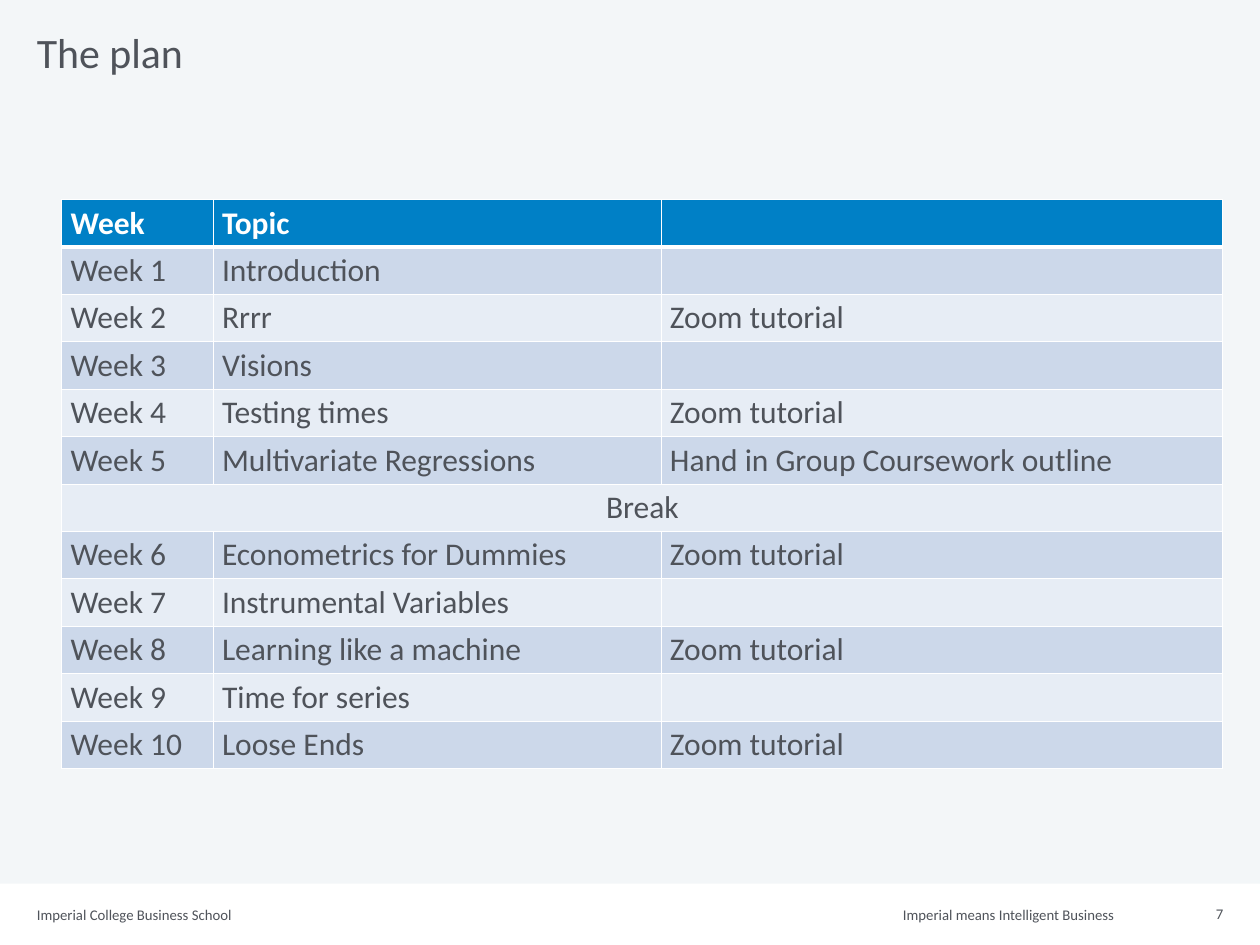
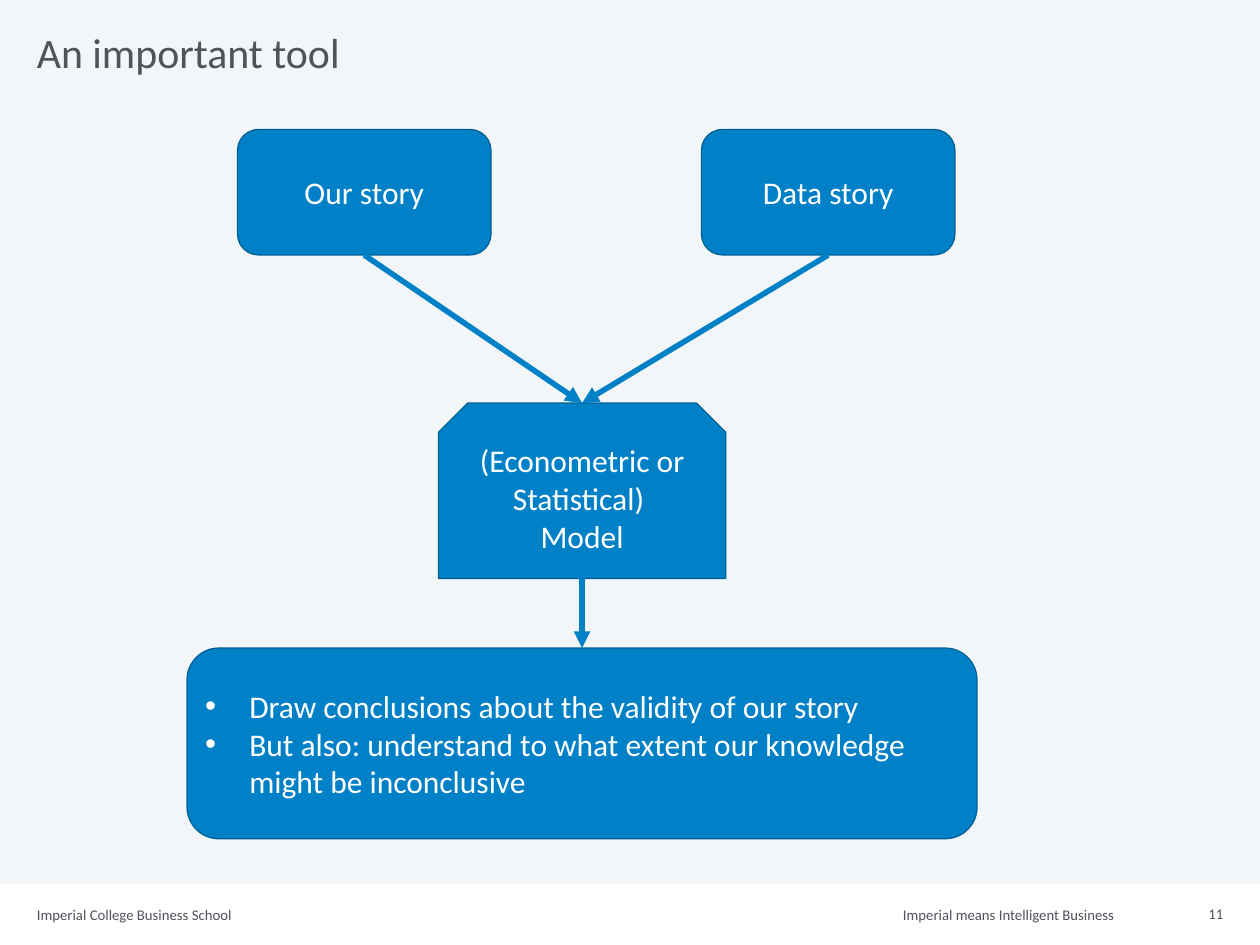
import lxml.etree
import pptx
import pptx.dml.color
import pptx.enum.shapes
import pptx.enum.text
import pptx.oxml.ns
import pptx.util

Pt = pptx.util.Pt
RGB = pptx.dml.color.RGBColor
ALIGN = pptx.enum.text.PP_ALIGN
MIDDLE = pptx.enum.text.MSO_ANCHOR.MIDDLE
SHAPE = pptx.enum.shapes.MSO_SHAPE
LINE = pptx.enum.shapes.MSO_CONNECTOR.STRAIGHT

WHITE = RGB(0xFF, 0xFF, 0xFF)
PALE = RGB(0xF3, 0xF6, 0xF8)
GREY = RGB(0x4F, 0x53, 0x5A)
BLUE = RGB(0x00, 0x80, 0xC6)
NAVY = RGB(0x00, 0x5F, 0x92)
BANDS = (RGB(0xE7, 0xED, 0xF5), RGB(0xCC, 0xD8, 0xEA))

WIDE, HIGH = 1023.88, 767.75
LEFT, RIGHT = 30, 994
BODY = 25.61


def sub(parent, tag, **attrs):
    return lxml.etree.SubElement(parent, pptx.oxml.ns.qn(tag), attrs)


class Deck:
    """Holds the style and the current slide; all lengths are points."""

    def __init__(self):
        self.prs = pptx.Presentation()
        self.prs.slide_width, self.prs.slide_height = Pt(WIDE), Pt(HIGH)

    def start(self, title, page):
        """Add a slide with its band, footers and title."""
        self.slide = self.prs.slides.add_slide(self.prs.slide_layouts[6])
        self.shapes = self.slide.shapes
        band = self.shape(SHAPE.RECTANGLE, WIDE / 2, 0, WIDE, 718, PALE)
        band.line.fill.background()
        self.text("Imperial means Intelligent Business", 629.5, 735.5, 276,
                  14.5, align=ALIGN.RIGHT)
        self.text("Imperial College Business School", LEFT, 735.5, 276, 14.5)
        num = self.text(str(page), RIGHT - 63, 731, 63, 22, align=ALIGN.RIGHT)
        num.vertical_anchor = MIDDLE
        head = self.text(title, LEFT, 24.5, RIGHT - LEFT, 69, size=34)
        head.paragraphs[0].line_spacing = Pt(38)

    def style(self, frame, size, color, align, bold=False):
        for para in frame.paragraphs:
            para.alignment = align
            for run in para.runs:
                font = run.font
                font.name, font.size, font.bold = "Calibri", Pt(size), bold
                font.color.rgb = color

    def text(self, words, x, y, w, h, size=12, align=ALIGN.LEFT):
        frame = self.shapes.add_textbox(Pt(x), Pt(y), Pt(w), Pt(h)).text_frame
        frame.margin_left = frame.margin_right = 0
        frame.margin_top = frame.margin_bottom = 0
        frame.word_wrap = True
        frame.text = words
        self.style(frame, size, GREY, align)
        return frame

    def shape(self, kind, mid, y, w, h, fill):
        """Add a shape centred on mid."""
        item = self.shapes.add_shape(kind, Pt(mid - w / 2), Pt(y), Pt(w), Pt(h))
        item.shadow.inherit = False
        item.fill.solid()
        item.fill.fore_color.rgb = fill
        return item

    def box(self, words, mid, y, w, h, kind=SHAPE.ROUNDED_RECTANGLE,
            bullet=False):
        item = self.shape(kind, mid, y, w, h, BLUE)
        item.line.color.rgb = NAVY
        item.line.width = Pt(1)
        frame = item.text_frame
        frame.word_wrap = True
        frame.vertical_anchor = MIDDLE
        frame.text = words
        if bullet:
            for para in frame.paragraphs:
                props = para._p.get_or_add_pPr()
                props.set("marL", str(Pt(36)))
                props.set("indent", str(Pt(-36)))
                sub(props, "a:buFont", typeface="Arial")
                sub(props, "a:buChar", char="•")
        self.style(frame, BODY, WHITE, ALIGN.LEFT if bullet else ALIGN.CENTER)
        return item

    def arrow(self, start, end):
        """Lead from the bottom middle of one box to the top middle of another."""
        item = self.shapes.add_connector(
            LINE, start.left + start.width // 2, start.top + start.height,
            end.left + end.width // 2, end.top)
        item.line.color.rgb = BLUE
        item.line.width = Pt(4.5)
        props = item._element.spPr
        sub(props.find(pptx.oxml.ns.qn("a:ln")), "a:tailEnd", type="triangle")
        sub(props, "a:effectLst")

    def edge(self, cell, base):
        """Draw white cell borders, with the bottom one base points wide."""
        props = cell._tc.get_or_add_tcPr()
        for side, width in (("L", 1), ("R", 1), ("T", 1), ("B", base)):
            line = sub(props, "a:ln" + side, w=str(Pt(width)))
            sub(sub(line, "a:solidFill"), "a:srgbClr", val=str(WHITE))

    def table(self, rows, x, y, widths, high):
        grid = self.shapes.add_table(
            len(rows), len(widths), Pt(x), Pt(y), Pt(sum(widths)),
            Pt(high * len(rows))).table
        grid.horz_banding = False
        for col, width in zip(grid.columns, widths):
            col.width = Pt(width)
        for i, row in enumerate(rows):
            grid.rows[i].height = Pt(high)
            whole = len(row) == 1
            if whole:
                grid.cell(i, 0).merge(grid.cell(i, len(widths) - 1))
            for j in range(len(widths)):
                cell = grid.cell(i, j)
                self.edge(cell, 1 if i else 3)
                cell.fill.solid()
                cell.fill.fore_color.rgb = BANDS[i % 2] if i else BLUE
                if j < len(row):
                    cell.text_frame.text = row[j]
                    self.style(cell.text_frame, BODY, GREY if i else WHITE,
                               ALIGN.CENTER if whole else ALIGN.LEFT, i == 0)


def plan(deck):
    deck.start("The plan", 7)
    zoom = "Zoom tutorial"
    weeks = [
        ("Introduction", ""), ("Rrrr", zoom), ("Visions", ""),
        ("Testing times", zoom),
        ("Multivariate Regressions", "Hand in Group Coursework outline"),
        ("Econometrics for Dummies", zoom), ("Instrumental Variables", ""),
        ("Learning like a machine", zoom), ("Time for series", ""),
        ("Loose Ends", zoom),
    ]
    rows = [(f"Week {n}", *week) for n, week in enumerate(weeks, 1)]
    rows = [("Week", "Topic", ""), *rows[:5], ("Break",), *rows[5:]]
    deck.table(rows, 50.2, 162.2, (123, 364, 456.5), 38.55)


def tool(deck):
    deck.start("An important tool", 11)
    mid = 473
    data = deck.box("Data story", 673, 105.2, 206, 102)
    ours = deck.box("Our story", 296, 105.2, 206, 102)
    model = deck.box("(Econometric or Statistical) \nModel", mid, 327.5,
                     233.5, 142.5, SHAPE.SNIP_2_SAME_RECTANGLE)
    ends = deck.box(
        "Draw conclusions about the validity of our story\n"
        "But also: understand to what extent our knowledge "
        "might be inconclusive", mid, 526.5, 642, 155, bullet=True)
    for start, end in ((ours, model), (data, model), (model, ends)):
        deck.arrow(start, end)


def main():
    deck = Deck()
    plan(deck)
    tool(deck)
    deck.prs.save("out.pptx")


if __name__ == "__main__":
    main()
